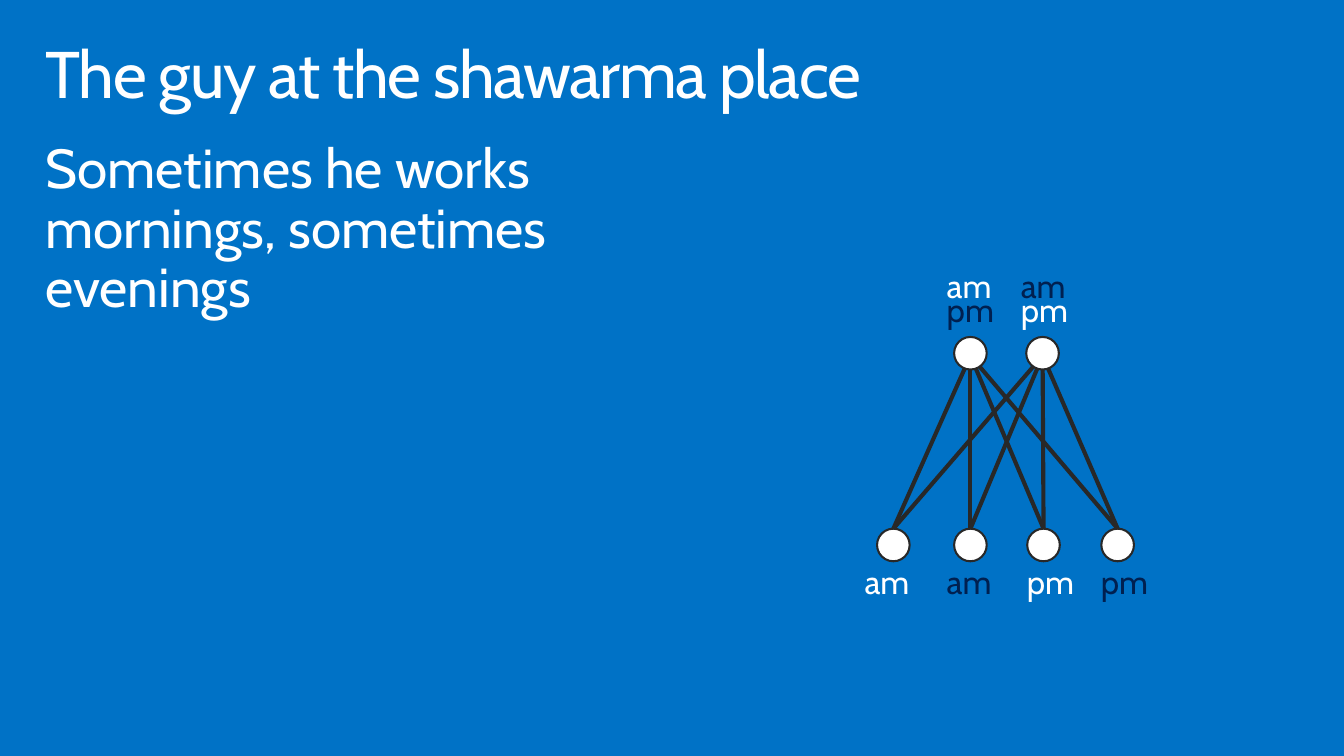
from dataclasses import dataclass

import pptx
import pptx.dml.color
import pptx.enum.shapes
import pptx.enum.text
import pptx.oxml.ns
import pptx.slide
import pptx.text.text
import pptx.util
from lxml import etree

Inches = pptx.util.Inches
Pt = pptx.util.Pt

FONT = "Cabin"
BLUE, WHITE, NAVY, CHARCOAL = "0072C6", "FFFFFF", "002050", "282828"
NODE_SIZE = 0.33
TOP_NODE_Y, BOTTOM_NODE_Y = 3.41, 5.35
EDGE_TOP_Y = 3.6
LABEL_WIDTHS = {"am": 0.86, "pm": 0.89}
LABEL_HEIGHT = 0.69


@dataclass(frozen=True)
class Label:
    text: str
    color: str
    left: float
    top: float


@dataclass(frozen=True)
class Node:
    center_x: float
    top: float
    labels: tuple[Label, ...]


WORKERS = (
    Node(9.82, TOP_NODE_Y, (Label("am", WHITE, 9.38, 2.57), Label("pm", NAVY, 9.38, 2.82))),
    Node(10.55, TOP_NODE_Y, (Label("am", NAVY, 10.13, 2.57), Label("pm", WHITE, 10.13, 2.82))),
)
SHIFTS = (
    Node(9.04, BOTTOM_NODE_Y, (Label("am", WHITE, 8.55, 5.57),)),
    Node(9.82, BOTTOM_NODE_Y, (Label("am", NAVY, 9.38, 5.57),)),
    Node(10.56, BOTTOM_NODE_Y, (Label("pm", WHITE, 10.19, 5.57),)),
    Node(11.31, BOTTOM_NODE_Y, (Label("pm", NAVY, 10.94, 5.57),)),
)


def rgb(color: str) -> pptx.dml.color.RGBColor:
    return pptx.dml.color.RGBColor.from_string(color)


def add_text(
    slide: pptx.slide.Slide,
    text: str,
    box: tuple[float, float, float, float],
    size: float,
    color: str = WHITE,
    margins: tuple[float, float] = (0.16, 0.1),
    wrap: bool = True,
) -> pptx.text.text._Paragraph:
    """Add a one-paragraph text box; margins are horizontal, then vertical."""
    frame = slide.shapes.add_textbox(*map(Inches, box)).text_frame
    frame.margin_left = frame.margin_right = Inches(margins[0])
    frame.margin_top = frame.margin_bottom = Inches(margins[1])
    frame.word_wrap = wrap
    frame.vertical_anchor = pptx.enum.text.MSO_ANCHOR.TOP
    frame.text = text
    paragraph = frame.paragraphs[0]
    paragraph.line_spacing = 0.9
    font = paragraph.runs[0].font
    font.name = FONT
    font.size = Pt(size)
    font.color.rgb = rgb(color)
    return paragraph


def add_edge(slide: pptx.slide.Slide, worker: Node, shift: Node) -> None:
    edge = slide.shapes.add_connector(
        pptx.enum.shapes.MSO_CONNECTOR.STRAIGHT,
        Inches(shift.center_x), Inches(shift.top),
        Inches(worker.center_x), Inches(EDGE_TOP_Y),
    )
    edge.line.color.rgb = rgb(CHARCOAL)
    edge.line.width = Pt(3)
    properties = edge._element.spPr
    etree.SubElement(properties, pptx.oxml.ns.qn("a:effectLst"))


def add_node(slide: pptx.slide.Slide, node: Node) -> None:
    circle = slide.shapes.add_shape(
        pptx.enum.shapes.MSO_SHAPE.OVAL,
        Inches(node.center_x - NODE_SIZE / 2), Inches(node.top),
        Inches(NODE_SIZE), Inches(NODE_SIZE),
    )
    circle.shadow.inherit = False
    circle.fill.solid()
    circle.fill.fore_color.rgb = rgb(WHITE)
    circle.line.color.rgb = rgb(CHARCOAL)
    circle.line.width = Pt(1.5)
    for label in node.labels:
        box = (label.left, label.top, LABEL_WIDTHS[label.text], LABEL_HEIGHT)
        paragraph = add_text(slide, label.text, box, 24, label.color, (0.2, 0.16), wrap=False)
        paragraph.space_after = Pt(6)


def main() -> None:
    presentation = pptx.Presentation()
    presentation.slide_width = Inches(13.6)
    presentation.slide_height = Inches(7.65)
    slide = presentation.slides.add_slide(presentation.slide_layouts[6])
    slide.background.fill.solid()
    slide.background.fill.fore_color.rgb = rgb(BLUE)

    title = add_text(slide, "The guy at the shawarma place", (0.3, 0.32, 13, 1), 48)
    title.runs[0].font._element.set("spc", "-100")
    add_text(
        slide,
        "Sometimes he works mornings, sometimes evenings",
        (0.3, 1.33, 7.25, 2.02),
        40,
    )

    for worker in WORKERS:
        for shift in SHIFTS:
            add_edge(slide, worker, shift)
    for node in WORKERS + SHIFTS:
        add_node(slide, node)

    presentation.save("out.pptx")


if __name__ == "__main__":
    main()
